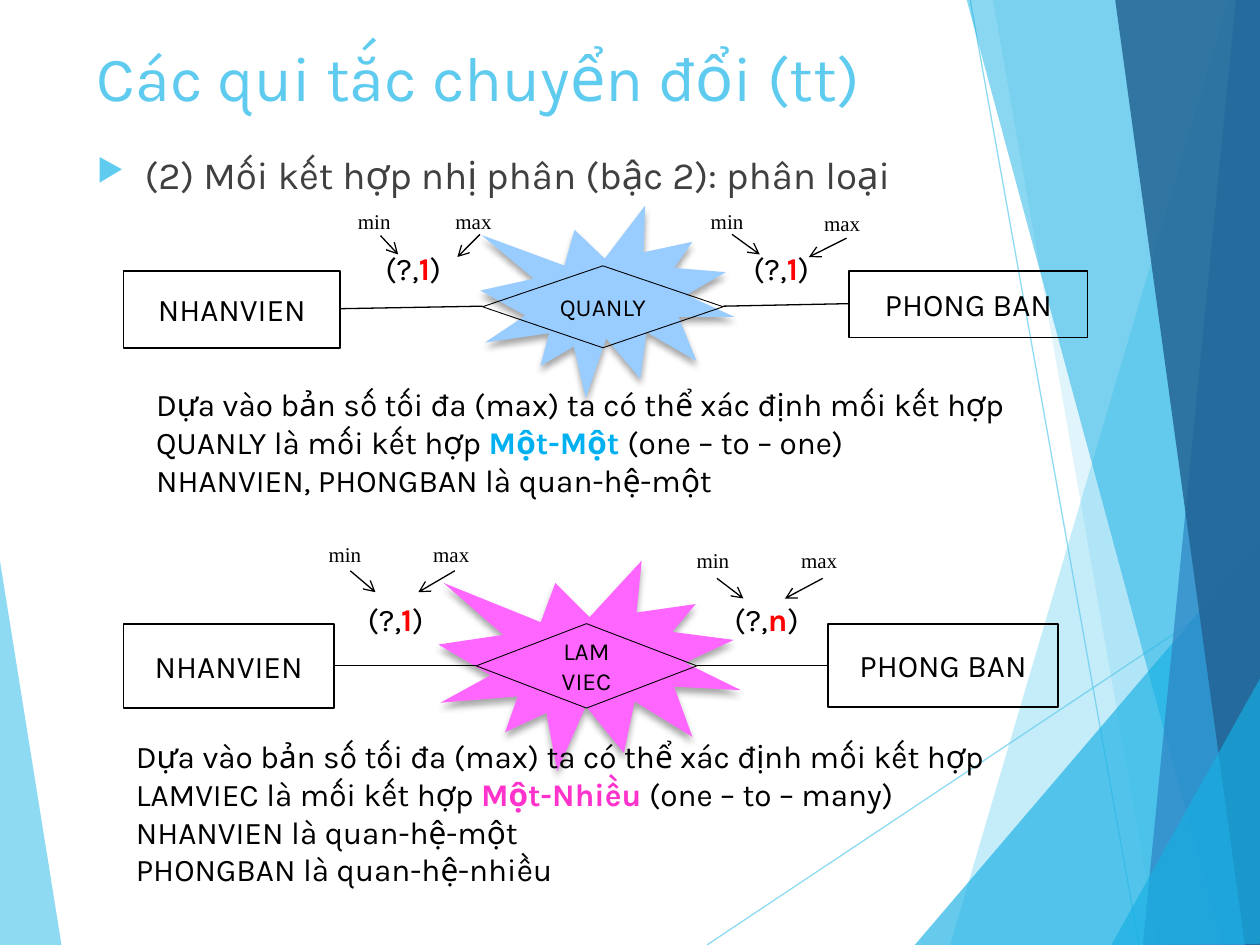
from dataclasses import dataclass
from typing import NamedTuple

from lxml.etree import SubElement
from pptx import Presentation
from pptx.dml.color import RGBColor
from pptx.enum.shapes import MSO_CONNECTOR, MSO_SHAPE
from pptx.enum.text import MSO_ANCHOR, MSO_AUTO_SIZE, PP_ALIGN
from pptx.oxml.ns import qn
from pptx.util import Emu, Pt

PX = 9144


@dataclass(frozen=True)
class Theme:
    ink: str = "000000"
    body: str = "404040"
    accent: str = "5FCBEF"
    bright: str = "17B0E4"
    blue: str = "2E83C3"
    navy: str = "226292"
    maximum: str = "FF0000"
    one_seal: str = "99CCFF"
    one_word: str = "00B0F0"
    many_seal: str = "FF66FF"
    many_word: str = "FF33CC"
    font: str = "Karla"
    label_font: str = "Times New Roman"
    title_size: int = 36
    body_size: int = 22
    text_size: int = 18
    diamond_size: int = 14
    label_size: int = 12


THEME = Theme()


class Box(NamedTuple):
    left: int
    top: int
    width: int
    height: int


class Line(NamedTuple):
    x1: int
    y1: int
    x2: int
    y2: int


class Facet(NamedTuple):
    points: tuple[tuple[int, int], ...]
    color: str
    opacity: int


class Run(NamedTuple):
    text: str
    color: str = THEME.ink
    bold: bool = False


class Role(NamedTuple):
    text: str
    box: Box
    arrow: Line


class Cardinality(NamedTuple):
    maximum: str
    box: Box
    wrap: bool


@dataclass(frozen=True)
class Relationship:
    name: tuple[str, ...]
    seal: Box
    seal_color: str
    rotation: float
    diamond: Box
    entities: tuple[tuple[str, Box], ...]
    links: tuple[Line, ...]
    link_width: float
    cardinalities: tuple[Cardinality, ...]
    roles: tuple[Role, ...]
    note: Box
    note_text: tuple[tuple[Run, ...], ...]


FACETS = (
    Facet(((-1, 439), (49, 751), (-1, 750)), THEME.accent, 70),
    Facet(((975, 0), (754, 750), (1002, 751), (1001, 1)), THEME.accent, 36),
    Facet(((788, -1), (919, 750), (1001, 750), (1001, -1)), THEME.accent, 20),
    Facet(((726, 750), (1000, 429), (1001, 750)), THEME.bright, 66),
    Facet(((767, -1), (970, 750), (1001, 749), (1001, -1)), THEME.bright, 50),
    Facet(((981, -1), (907, 750), (1001, 750), (1000, -1)), THEME.blue, 70),
    Facet(((885, -1), (988, 750), (1002, 750), (1000, -1)), THEME.navy, 82),
    Facet(((882, 750), (1002, 535), (1002, 749)), THEME.bright, 66),
)
RAYS = (Line(561, 750, 1001, 457), Line(770, 0, 904, 750))
INTRO = "Dựa vào bản số tối đa (max) ta có thể xác định mối kết hợp "

RELATIONSHIPS = (
    Relationship(
        ("LAM", "VIEC"), Box(348, 445, 240, 167), THEME.many_seal, 0, Box(378, 495, 175, 67),
        (("PHONG BAN", Box(657, 495, 183, 66)), ("NHANVIEN", Box(98, 495, 167, 67))),
        (Line(553, 528, 657, 528), Line(378, 528, 265, 528)), 0.5,
        (Cardinality("1", Box(282, 471, 75, 40), True),
         Cardinality("n", Box(573, 471, 72, 40), False)),
        (Role("min", Box(240, 420, 75, 33), Line(278, 453, 298, 470)),
         Role("max", Box(323, 420, 75, 33), Line(361, 453, 332, 470)),
         Role("min", Box(532, 425, 75, 33), Line(569, 459, 590, 475)),
         Role("max", Box(615, 425, 75, 33), Line(653, 459, 623, 475))),
        Box(98, 580, 756, 131),
        ((Run(INTRO + "LAMVIEC là mối kết hợp "), Run("Một-Nhiều ", THEME.many_word, True),
          Run("(one – to – many)")),
         (Run("NHANVIEN là quan-hệ-một"),), (Run("PHONGBAN là quan-hệ-nhiều"),)),
    ),
    Relationship(
        ("QUANLY",), Box(382, 165, 200, 150), THEME.one_seal, 356.7, Box(383, 211, 191, 65),
        (("PHONG BAN", Box(674, 215, 189, 53)), ("NHANVIEN", Box(98, 215, 172, 61))),
        (Line(270, 245, 383, 243), Line(574, 243, 674, 241)), 0.75,
        (Cardinality("1", Box(296, 193, 77, 40), True),
         Cardinality("1", Box(588, 193, 72, 40), False)),
        (Role("min", Box(543, 156, 77, 30), Line(581, 186, 603, 202)),
         Role("max", Box(633, 158, 77, 30), Line(672, 189, 642, 204)),
         Role("min", Box(263, 156, 77, 30), Line(302, 187, 316, 202)),
         Role("max", Box(341, 157, 73, 22), Line(381, 186, 363, 204))),
        Box(114, 301, 717, 101),
        ((Run(INTRO + "QUANLY là mối kết hợp "), Run("Một-Một ", THEME.one_word, True),
          Run("(one – to – one)")),
         (Run("NHANVIEN, PHONGBAN là quan-hệ-một"),)),
    ),
)


def emu(lengths) -> list[Emu]:
    return [Emu(length * PX) for length in lengths]


def set_opacity(parent, opacity: int) -> None:
    color = next(parent.iter(qn("a:srgbClr")))
    SubElement(color, qn("a:alpha"), val=str(opacity * 1000))


def write_text(shape, paragraphs, *, size: int, font: str = THEME.font, align=PP_ALIGN.LEFT,
               anchor=MSO_ANCHOR.TOP, wrap: bool = True, grow: bool = False) -> None:
    frame = shape.text_frame
    frame.word_wrap = wrap
    frame.vertical_anchor = anchor
    frame.auto_size = MSO_AUTO_SIZE.SHAPE_TO_FIT_TEXT if grow else MSO_AUTO_SIZE.NONE
    for index, runs in enumerate(paragraphs):
        paragraph = frame.add_paragraph() if index else frame.paragraphs[0]
        paragraph.alignment = align
        for item in runs:
            run = paragraph.add_run()
            run.text = item.text
            run.font.name = font
            run.font.size = Pt(size)
            run.font.bold = item.bold
            run.font.color.rgb = RGBColor.from_string(item.color)


def add_text(slide, box: Box, paragraphs, **text_format):
    shape = slide.shapes.add_textbox(*emu(box))
    write_text(shape, paragraphs, **text_format)
    return shape


def add_outline(slide, kind, box: Box, line_width: float = 0):
    shape = slide.shapes.add_shape(kind, *emu(box))
    shape.shadow.inherit = False
    shape.fill.background()
    if line_width:
        shape.line.color.rgb = RGBColor.from_string(THEME.ink)
        shape.line.width = Pt(line_width)
    else:
        shape.line.fill.background()
    return shape


def add_line(slide, line: Line, width: float = 0.75, color: str = THEME.ink,
             arrow: bool = False, opacity: int = 100) -> None:
    connector = slide.shapes.add_connector(MSO_CONNECTOR.STRAIGHT, *emu(line))
    connector.line.color.rgb = RGBColor.from_string(color)
    connector.line.width = Pt(width)
    properties = connector._element.spPr
    if opacity < 100:
        set_opacity(properties, opacity)
    if arrow:
        SubElement(properties.find(qn("a:ln")), qn("a:tailEnd"), type="arrow")
    SubElement(properties, qn("a:effectLst"))


def add_facet(slide, facet: Facet) -> None:
    builder = slide.shapes.build_freeform(*facet.points[0], scale=PX)
    builder.add_line_segments(facet.points[1:], close=True)
    shape = builder.convert_to_shape()
    shape.shadow.inherit = False
    shape.fill.solid()
    shape.fill.fore_color.rgb = RGBColor.from_string(facet.color)
    shape.line.fill.background()
    set_opacity(shape._element.spPr, facet.opacity)


def add_seal(slide, box: Box, color: str, rotation: float) -> None:
    shape = add_outline(slide, MSO_SHAPE.EXPLOSION1, box)
    shape.rotation = rotation
    shape.fill.solid()
    shape.fill.fore_color.rgb = RGBColor.from_string(color)
    effects = shape._element.spPr.find(qn("a:effectLst"))
    shadow = SubElement(effects, qn("a:outerShdw"), blurRad=str(Pt(4)), dist=str(Pt(3)),
                        dir="5400000", rotWithShape="0")
    SubElement(shadow, qn("a:srgbClr"), val=THEME.ink)
    set_opacity(shadow, 35)


def add_heading(slide) -> None:
    add_text(slide, Box(67, 26, 694, 84), ((Run("Các qui tắc chuyển đổi (tt)", THEME.accent),),),
             size=THEME.title_size)
    body = add_text(slide, Box(67, 115, 694, 424),
                    ((Run("(2) Mối kết hợp nhị phân (bậc 2): phân loại", THEME.body),),),
                    size=THEME.body_size)
    paragraph = body.text_frame.paragraphs[0]
    paragraph.space_before = Pt(10)
    properties = paragraph._p.get_or_add_pPr()
    properties.set("marL", str(38 * PX))
    properties.set("indent", str(-38 * PX))
    SubElement(SubElement(properties, qn("a:buClr")), qn("a:srgbClr"), val=THEME.accent)
    SubElement(properties, qn("a:buSzPct"), val="80000")
    SubElement(properties, qn("a:buChar"), char="▶")


def add_relationship(slide, item: Relationship) -> None:
    centred = {"align": PP_ALIGN.CENTER, "anchor": MSO_ANCHOR.MIDDLE}
    add_seal(slide, item.seal, item.seal_color, item.rotation)
    for name, box in item.entities:
        entity = add_outline(slide, MSO_SHAPE.RECTANGLE, box, 1)
        write_text(entity, ((Run(name),),), size=THEME.text_size, **centred)
    diamond = add_outline(slide, MSO_SHAPE.DIAMOND, item.diamond, 0.5)
    write_text(diamond, [(Run(word),) for word in item.name], size=THEME.diamond_size, **centred)
    for link in item.links:
        add_line(slide, link, item.link_width)
    for maximum, box, wrap in item.cardinalities:
        runs = (Run("(?,"), Run(maximum, THEME.maximum, True), Run(")"))
        add_text(slide, box, (runs,), size=THEME.text_size, wrap=wrap, grow=True)
    for text, box, arrow in item.roles:
        label = add_outline(slide, MSO_SHAPE.OVAL, box)
        write_text(label, ((Run(text),),), size=THEME.label_size, font=THEME.label_font, wrap=False)
        add_line(slide, arrow, arrow=True)
    add_text(slide, item.note, item.note_text, size=THEME.text_size, grow=True)


def main() -> None:
    presentation = Presentation()
    presentation.slide_width, presentation.slide_height = emu((1000, 750))
    slide = presentation.slides.add_slide(presentation.slide_layouts[6])
    add_facet(slide, FACETS[0])
    for ray in RAYS:
        add_line(slide, ray, color=THEME.accent, opacity=70)
    for facet in FACETS[1:]:
        add_facet(slide, facet)
    add_heading(slide)
    for relationship in RELATIONSHIPS:
        add_relationship(slide, relationship)
    presentation.save("out.pptx")


if __name__ == "__main__":
    main()
